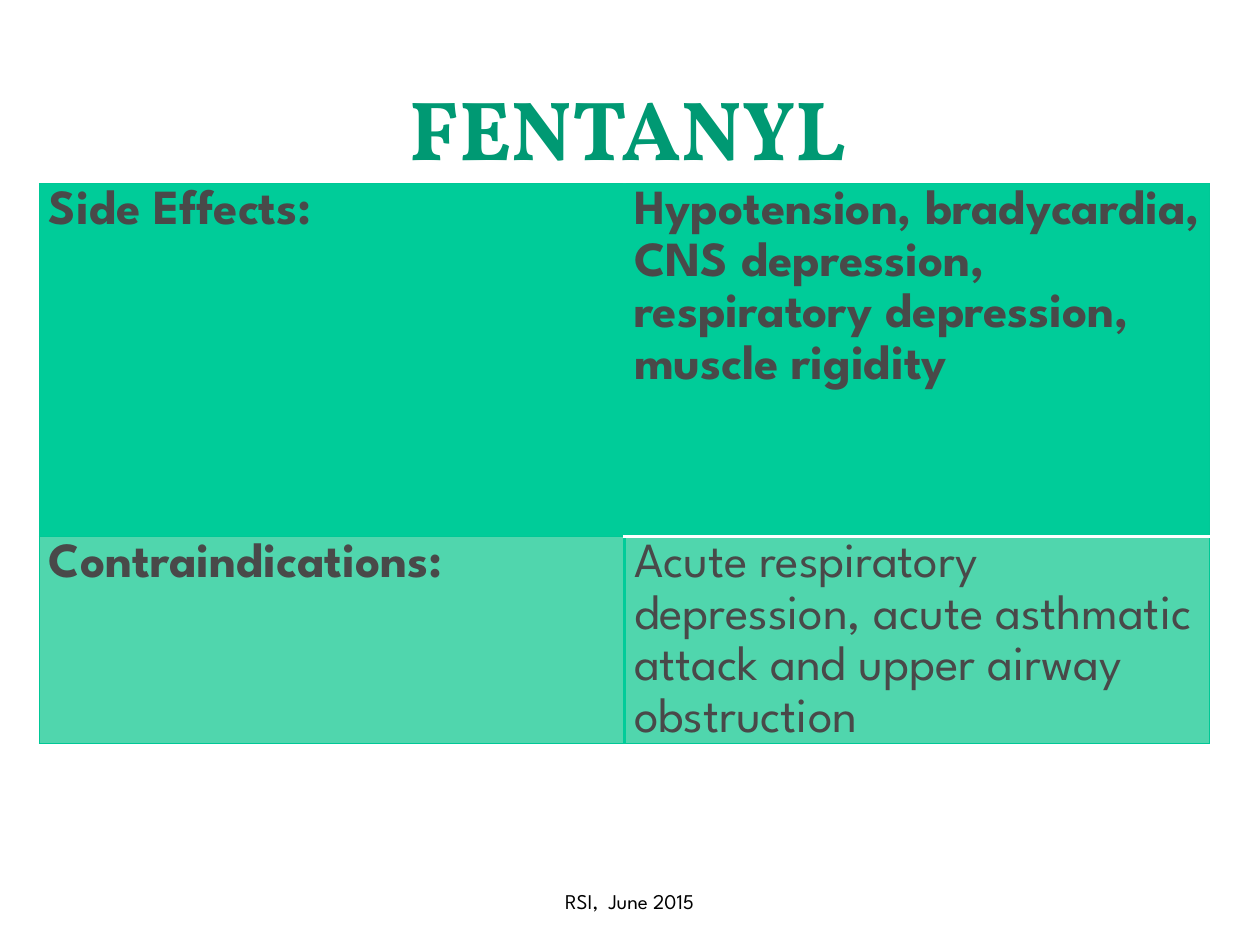
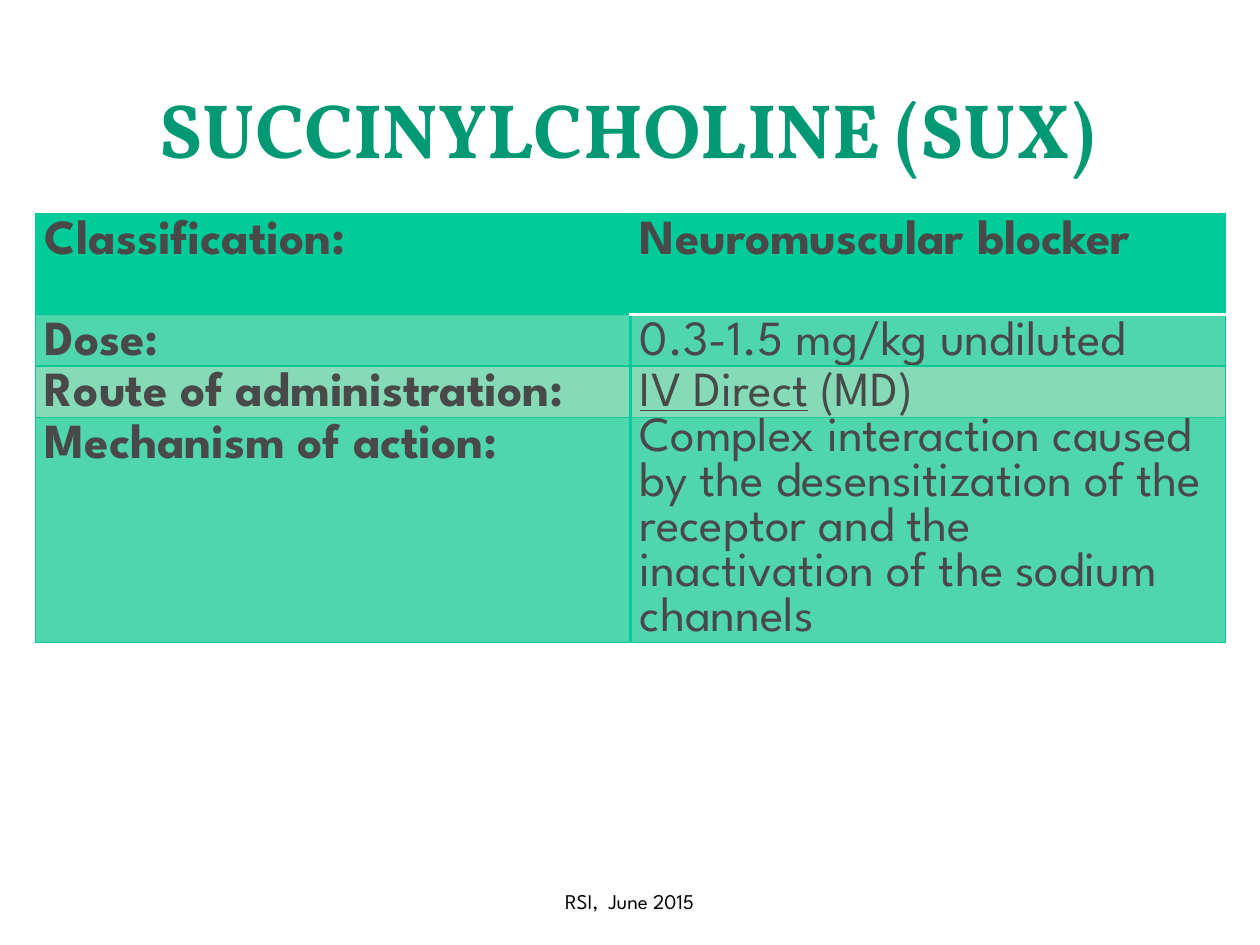
from lxml.etree import SubElement
from pptx import Presentation
from pptx.dml.color import RGBColor
from pptx.enum.shapes import MSO_SHAPE
from pptx.enum.text import MSO_ANCHOR, MSO_AUTO_SIZE, PP_ALIGN
from pptx.oxml.ns import qn
from pptx.util import Pt

GREEN, EDGE, BAND, PALE, WHITE = "00CC99", "00C896", "50D6AD", "85DAB8", "FFFFFF"
FOOTER = "RSI,  June 2015"
TITLE_FORMAT = {"name": "Vollkorn", "bold": True, "color": "009973"}
FOOTER_FORMAT = {"name": "League Spartan", "size": Pt(12), "color": "000000"}
CELL_FORMAT = {"name": "League Spartan", "size": Pt(28), "color": "494949"}
FRAME_FORMAT = {"word_wrap": True, "auto_size": MSO_AUTO_SIZE.NONE,
                "vertical_anchor": MSO_ANCHOR.MIDDLE}
CELL_MARGINS = {"margin_left": Pt(5.4), "margin_right": Pt(5.4),
                "margin_top": 0, "margin_bottom": 0}
PANELS = [
    {"shape": MSO_SHAPE.ROUNDED_RECTANGLE, "place": (7.2, 7.9, 705.6, 524.9), "corner": 0.02},
    {"shape": MSO_SHAPE.RECTANGLE, "place": (21.6, 21.6, 676.8, 104.4), "opacity": 83},
    {"shape": MSO_SHAPE.RECTANGLE, "place": (29.5, 29.5, 660.2, 87.8)},
]

DRUGS = [
    {"title": "FENTANYL", "size": 48, "left": 22.6, "top": 105, "column": 334.4,
     "rows": [
         {"label": "Side Effects:", "height": 201.6, "fill": GREEN,
          "value": ["Hypotension, bradycardia, CNS depression, "
                    "respiratory depression, muscle rigidity"]},
         {"label": "Contraindications:", "height": 118, "fill": BAND,
          "value": ["Acute respiratory depression, acute asthmatic attack "
                    "and upper airway obstruction"]},
     ]},
    {"title": "SUCCINYLCHOLINE (SUX)", "size": 44, "left": 20.3, "top": 122, "column": 340,
     "rows": [
         {"label": "Classification:", "height": 57.6, "fill": GREEN,
          "value": ["Neuromuscular blocker"]},
         {"label": "Dose:", "height": 29.5, "fill": BAND,
          "value": ["0.3-1.5 mg/kg undiluted"]},
         {"label": "Route of administration:", "height": 29.5, "fill": PALE,
          "value": ["IV Direct", " (MD)"], "underlined": "IV Direct"},
         {"label": "Mechanism of action:", "height": 128.4, "fill": BAND, "spacing": 1.0,
          "value": ["Complex interaction caused by the desensitization of the "
                    "receptor and the inactivation of the sodium channels"]},
     ]},
]


def color(value):
    return RGBColor.from_string(value)


def set_values(target, values):
    for name, value in values.items():
        setattr(target, name, value)


def write(para, text, values):
    span = para.add_run()
    span.text = text
    for name, value in values.items():
        if name == "color":
            span.font.color.rgb = color(value)
        else:
            setattr(span.font, name, value)


def write_centred(box, text, values):
    set_values(box.text_frame, FRAME_FORMAT)
    para = box.text_frame.paragraphs[0]
    para.alignment = PP_ALIGN.CENTER
    write(para, text, values)


def add_panel(page, panel):
    box = page.shapes.add_shape(panel["shape"], *map(Pt, panel["place"]))
    box.shadow.inherit = False
    box.line.fill.background()
    box.fill.solid()
    box.fill.fore_color.rgb = color(WHITE)
    if "corner" in panel:
        box.adjustments[0] = panel["corner"]
    if "opacity" in panel:
        shade = box._element.spPr.find(qn("a:solidFill"))[0]
        SubElement(shade, qn("a:alpha"), val=str(panel["opacity"] * 1000))


def add_borders(cell, row, column):
    thin, divider, header_line = (EDGE, 0.75), (GREEN, 2), (WHITE, 2)
    sides = {"lnL": divider if column else thin,
             "lnR": thin if column else divider,
             "lnT": header_line if column and row == 1 else thin,
             "lnB": header_line if column and row == 0 else thin}
    properties = cell._tc.get_or_add_tcPr()
    for side, (shade, width) in sides.items():
        line = SubElement(properties, qn(f"a:{side}"), w=str(Pt(width)))
        SubElement(SubElement(line, qn("a:solidFill")), qn("a:srgbClr"), val=shade)


def fill_cell(cell, row, column, entry):
    add_borders(cell, row, column)
    cell.fill.solid()
    cell.fill.fore_color.rgb = color(entry["fill"])
    set_values(cell, CELL_MARGINS)
    para = cell.text_frame.paragraphs[0]
    para.line_spacing = entry.get("spacing", 1.15) if column else 1.15
    for text in entry["value"] if column else [entry["label"]]:
        write(para, text, {**CELL_FORMAT, "bold": row == 0 or column == 0,
                           "underline": text == entry.get("underlined")})


def add_drug_table(page, drug):
    rows = drug["rows"]
    height = sum(entry["height"] for entry in rows)
    table = page.shapes.add_table(len(rows), 2, Pt(drug["left"]), Pt(drug["top"]),
                                  Pt(2 * drug["column"]), Pt(height)).table
    set_values(table, {"first_row": False, "horz_banding": False})
    for column in table.columns:
        column.width = Pt(drug["column"])
    for row, entry in enumerate(rows):
        table.rows[row].height = Pt(entry["height"])
        for column in range(2):
            fill_cell(table.cell(row, column), row, column, entry)


def add_page(deck, drug):
    page = deck.slides.add_slide(deck.slide_layouts[5])
    title = page.shapes.title
    for panel in PANELS:
        add_panel(page, panel)
    page.shapes._spTree.append(title._element)
    set_values(title, {"left": Pt(33.8), "top": Pt(31.8), "width": Pt(650), "height": Pt(82)})
    write_centred(title, drug["title"], {**TITLE_FORMAT, "size": Pt(drug["size"])})
    footer = page.shapes.add_textbox(Pt(245.8), Pt(500.4), Pt(228.2), Pt(28.8))
    write_centred(footer, FOOTER, FOOTER_FORMAT)
    add_drug_table(page, drug)


def main():
    deck = Presentation()
    set_values(deck, {"slide_width": Pt(720), "slide_height": Pt(540)})
    for drug in DRUGS:
        add_page(deck, drug)
    deck.save("out.pptx")


if __name__ == "__main__":
    main()
